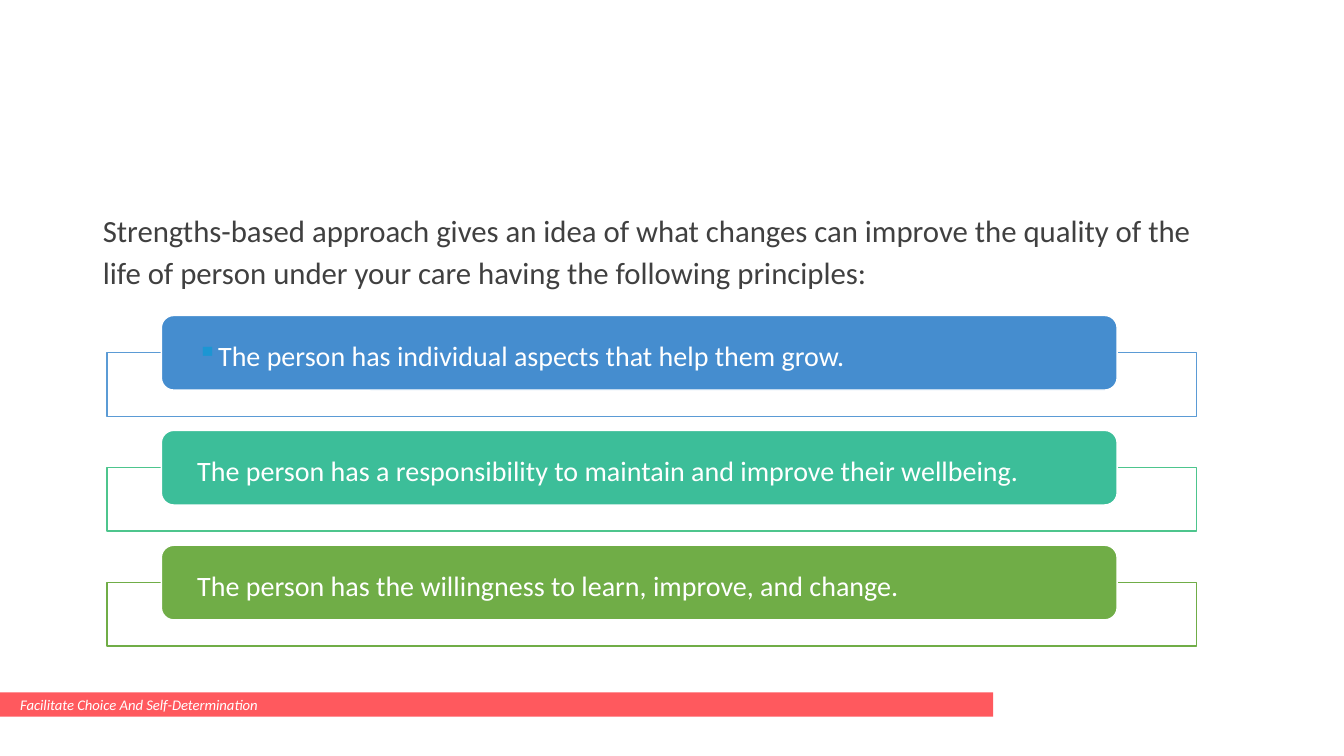
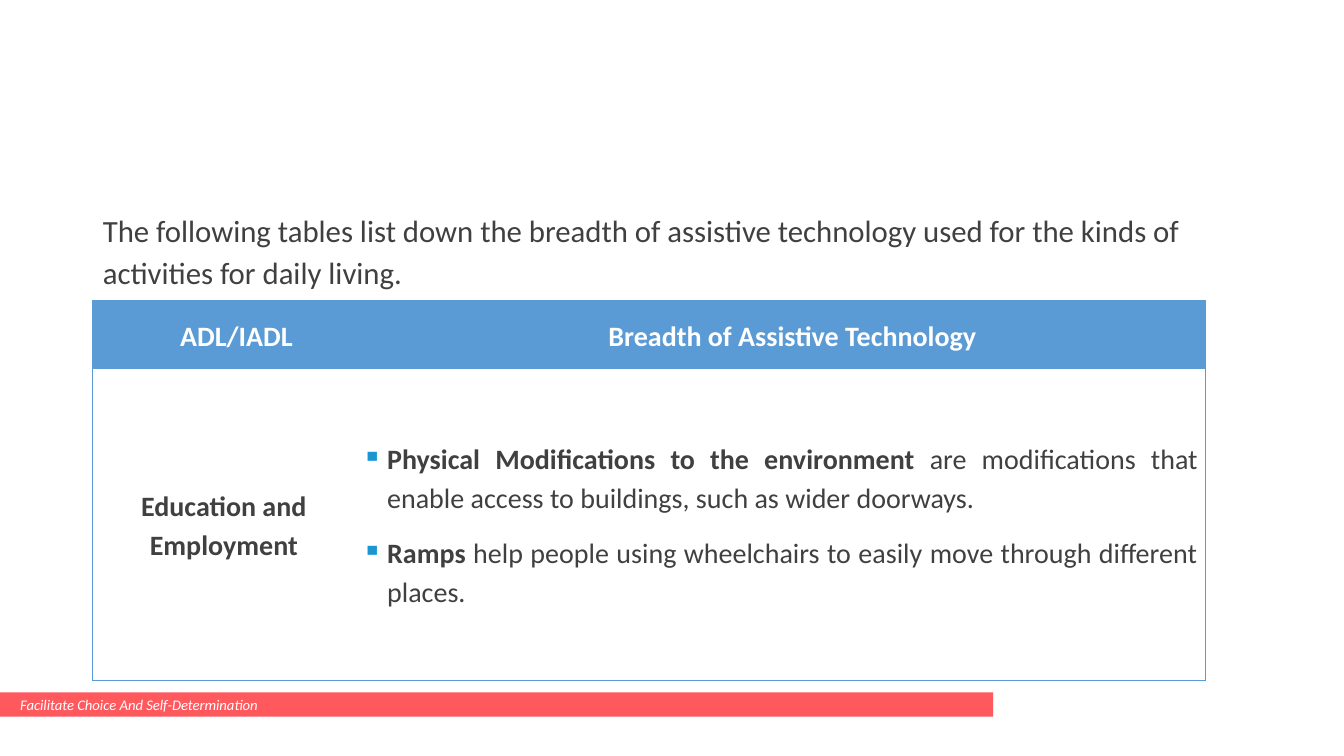
from lxml.etree import SubElement
from pptx import Presentation
from pptx.dml.color import RGBColor
from pptx.enum.shapes import MSO_SHAPE
from pptx.enum.text import MSO_ANCHOR, MSO_AUTO_SIZE, PP_ALIGN
from pptx.oxml.ns import qn
from pptx.util import Inches, Pt

COLORS = {
    "text": "404040",
    "white": "FFFFFF",
    "footer": "FF595E",
    "bullet": "1C96D3",
    "table": "5B9BD5",
}
FONT = "Calibri"
NO_GRID_STYLE = "{2D5ABB26-0587-4C30-8999-92F81FD0307C}"
LEFT, WIDTH = 0.92, 11.03

FOOTER = "Facilitate Choice And Self-Determination"
PRINCIPLES_INTRO = (
    "Strengths-based approach gives an idea of what changes can improve the quality "
    "of the life of person under your care having the following principles:"
)
PRINCIPLES = [
    ("The person has individual aspects that help them grow.", "458DCF", "5B9BD5", "▪"),
    ("The person has a responsibility to maintain and improve their wellbeing.",
     "3CBE99", "4DC58D", None),
    ("The person has the willingness to learn, improve, and change.",
     "70AD47", "70AD47", None),
]
TECHNOLOGY_INTRO = (
    "The following tables list down the breadth of assistive technology used for "
    "the kinds of activities for daily living."
)
HEADERS = ["ADL/IADL", "Breadth of Assistive Technology"]
ACTIVITY = "Education and Employment"
TECHNOLOGIES = [
    ("Physical Modifications to the environment",
     " are modifications that enable access to buildings, such as wider doorways."),
    ("Ramps",
     " help people using wheelchairs to easily move through different places."),
]
COLUMNS, ROWS = [2.6, 8.43], [0.67, 3.1]


def rgb(color):
    return RGBColor.from_string(color)


def add_fill(parent, color):
    fill = SubElement(parent, qn("a:solidFill"))
    SubElement(fill, qn("a:srgbClr"), val=color)


def format_paragraph(paragraph, size, color, margin=0, indent=0, bullet=None,
                     spacing=1.14, before=0, after=6, align=PP_ALIGN.LEFT,
                     bold=None, italic=None):
    properties = paragraph._p.get_or_add_pPr()
    properties.set("marL", str(Inches(margin)))
    properties.set("indent", str(Inches(indent)))
    if bullet:
        bullet_color = SubElement(properties, qn("a:buClr"))
        SubElement(bullet_color, qn("a:srgbClr"), val=COLORS["bullet"])
        SubElement(properties, qn("a:buChar"), char=bullet)
    else:
        SubElement(properties, qn("a:buNone"))
    paragraph.alignment = align
    paragraph.line_spacing = spacing
    paragraph.space_before, paragraph.space_after = Pt(before), Pt(after)
    font = paragraph.font
    font.name, font.size, font.color.rgb = FONT, Pt(size), rgb(color)
    font.bold, font.italic = bold, italic


def add_box(slide, kind, left, top, width, height, fill, line=None):
    shape = slide.shapes.add_shape(kind, *map(Inches, (left, top, width, height)))
    shape.shadow.inherit = False
    shape.fill.solid()
    shape.fill.fore_color.rgb = rgb(fill)
    if line:
        shape.line.color.rgb = rgb(line)
        shape.line.width = Pt(1)
    else:
        shape.line.fill.background()
    shape.text_frame.vertical_anchor = MSO_ANCHOR.MIDDLE
    return shape


def add_slide(presentation, intro):
    slide = presentation.slides.add_slide(presentation.slide_layouts[1])
    title = slide.shapes.title
    title._element.getparent().remove(title._element)

    body = slide.placeholders[1]
    body.left, body.top = Inches(LEFT), Inches(2)
    body.width, body.height = Inches(WIDTH), Inches(4.76)
    body.text_frame.auto_size = MSO_AUTO_SIZE.NONE
    body.text_frame.text = intro
    format_paragraph(body.text_frame.paragraphs[0], 22, COLORS["text"])

    footer = add_box(slide, MSO_SHAPE.RECTANGLE, 0, 6.87, 9.85, 0.24, COLORS["footer"])
    footer.text_frame.text = FOOTER
    format_paragraph(footer.text_frame.paragraphs[0], 10.5, COLORS["white"],
                     margin=0.1, spacing=1.0, after=0, italic=True)
    return slide


def add_principles(slide):
    top, step, height = 3.13, 1.14, 0.74
    for index, (text, fill, line, bullet) in enumerate(PRINCIPLES):
        label_top = top + index * step
        add_box(slide, MSO_SHAPE.RECTANGLE, 1.06, label_top + height / 2, 10.81, 0.63,
                COLORS["white"], line)
        label = add_box(slide, MSO_SHAPE.ROUNDED_RECTANGLE, 1.6, label_top, 9.48, height,
                        fill, COLORS["white"])
        frame = label.text_frame
        frame.margin_left = frame.margin_right = Inches(0.32)
        frame.margin_top = frame.margin_bottom = 0
        frame.text = text
        format_paragraph(frame.paragraphs[0], 20, COLORS["white"], bullet=bullet)


def format_cell(cell, fill, sides):
    properties = cell._tc.get_or_add_tcPr()
    for side in "LRTB":
        border = SubElement(properties, qn(f"a:ln{side}"), w=str(Pt(0.5)))
        if side in sides:
            add_fill(border, COLORS["table"])
        else:
            SubElement(border, qn("a:noFill"))
    cell.fill.solid()
    cell.fill.fore_color.rgb = rgb(fill)
    cell.vertical_anchor = MSO_ANCHOR.MIDDLE
    cell.margin_left = cell.margin_right = Inches(0.07)
    cell.margin_top = cell.margin_bottom = 0


def add_technology_table(slide):
    frame = slide.shapes.add_table(len(ROWS), len(COLUMNS), Inches(LEFT), Inches(2.98),
                                   Inches(WIDTH), Inches(sum(ROWS)))
    table = frame.table
    table.horz_banding = False
    table._tbl.tblPr.find(qn("a:tableStyleId")).text = NO_GRID_STYLE
    for column, width in zip(table.columns, COLUMNS):
        column.width = Inches(width)
    for row, height in zip(table.rows, ROWS):
        row.height = Inches(height)

    for index, (header, side) in enumerate(zip(HEADERS, "LR")):
        format_cell(table.cell(0, index), COLORS["table"], side + "T")
        format_cell(table.cell(1, index), COLORS["white"], side + "TB")
        table.cell(0, index).text = header
        format_paragraph(table.cell(0, index).text_frame.paragraphs[0], 20,
                         COLORS["white"], margin=0.5, indent=-0.25, spacing=1.15,
                         align=PP_ALIGN.CENTER, bold=True)

    activity = table.cell(1, 0)
    activity.text = ACTIVITY
    format_paragraph(activity.text_frame.paragraphs[0], 20, COLORS["text"],
                     spacing=1.13, align=PP_ALIGN.CENTER, bold=True)

    technology_frame = table.cell(1, 1).text_frame
    for index, (name, description) in enumerate(TECHNOLOGIES):
        paragraph = (technology_frame.add_paragraph() if index
                     else technology_frame.paragraphs[0])
        format_paragraph(paragraph, 20, COLORS["text"], margin=0.25, indent=-0.25,
                         bullet="▪", spacing=1.13, before=6 if index else 0,
                         align=PP_ALIGN.JUSTIFY)
        for text, bold in ((name, True), (description, False)):
            run = paragraph.add_run()
            run.text, run.font.bold = text, bold


def main():
    presentation = Presentation()
    presentation.slide_width, presentation.slide_height = Inches(13.33), Inches(7.5)
    add_principles(add_slide(presentation, PRINCIPLES_INTRO))
    add_technology_table(add_slide(presentation, TECHNOLOGY_INTRO))
    presentation.save("out.pptx")


if __name__ == "__main__":
    main()
